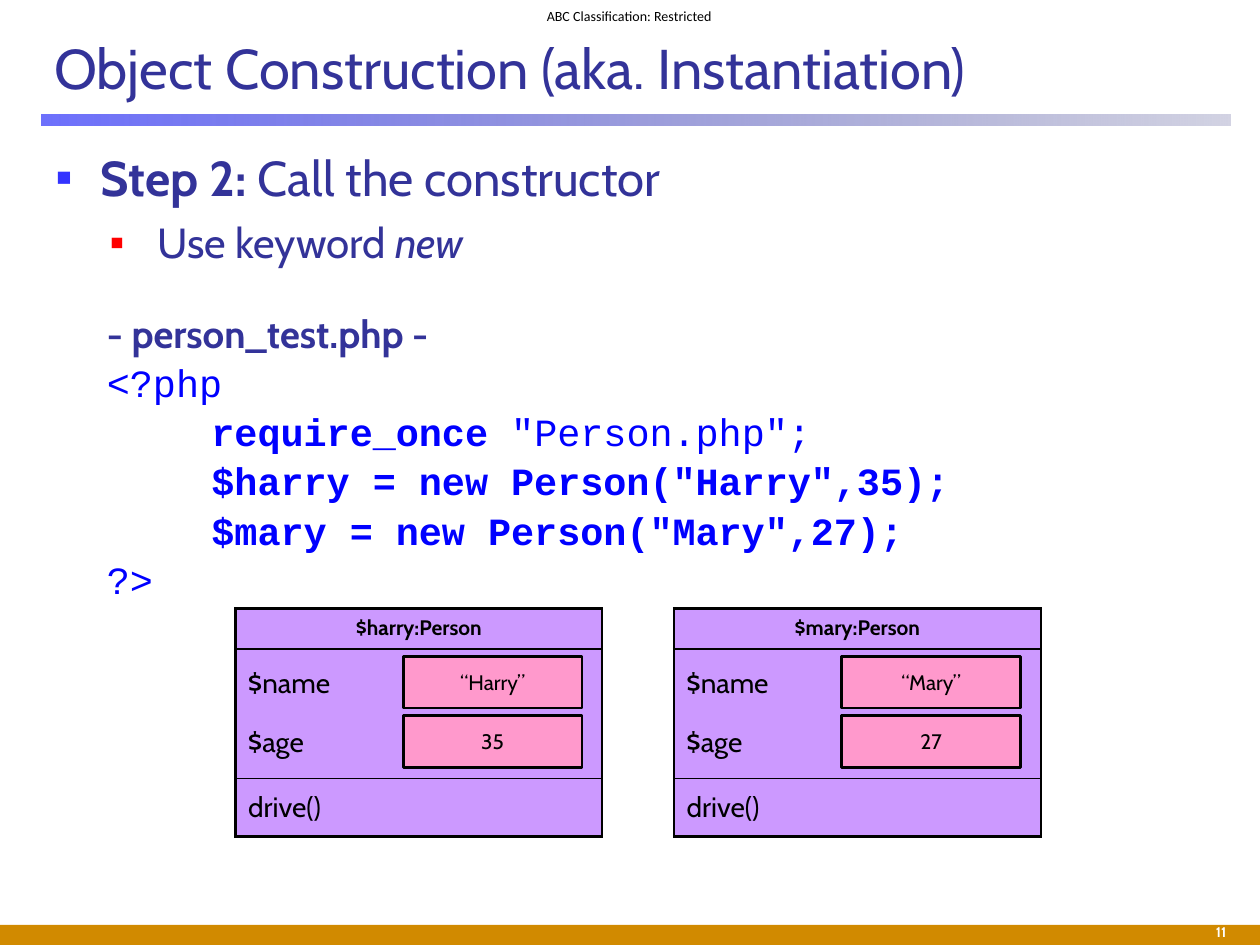
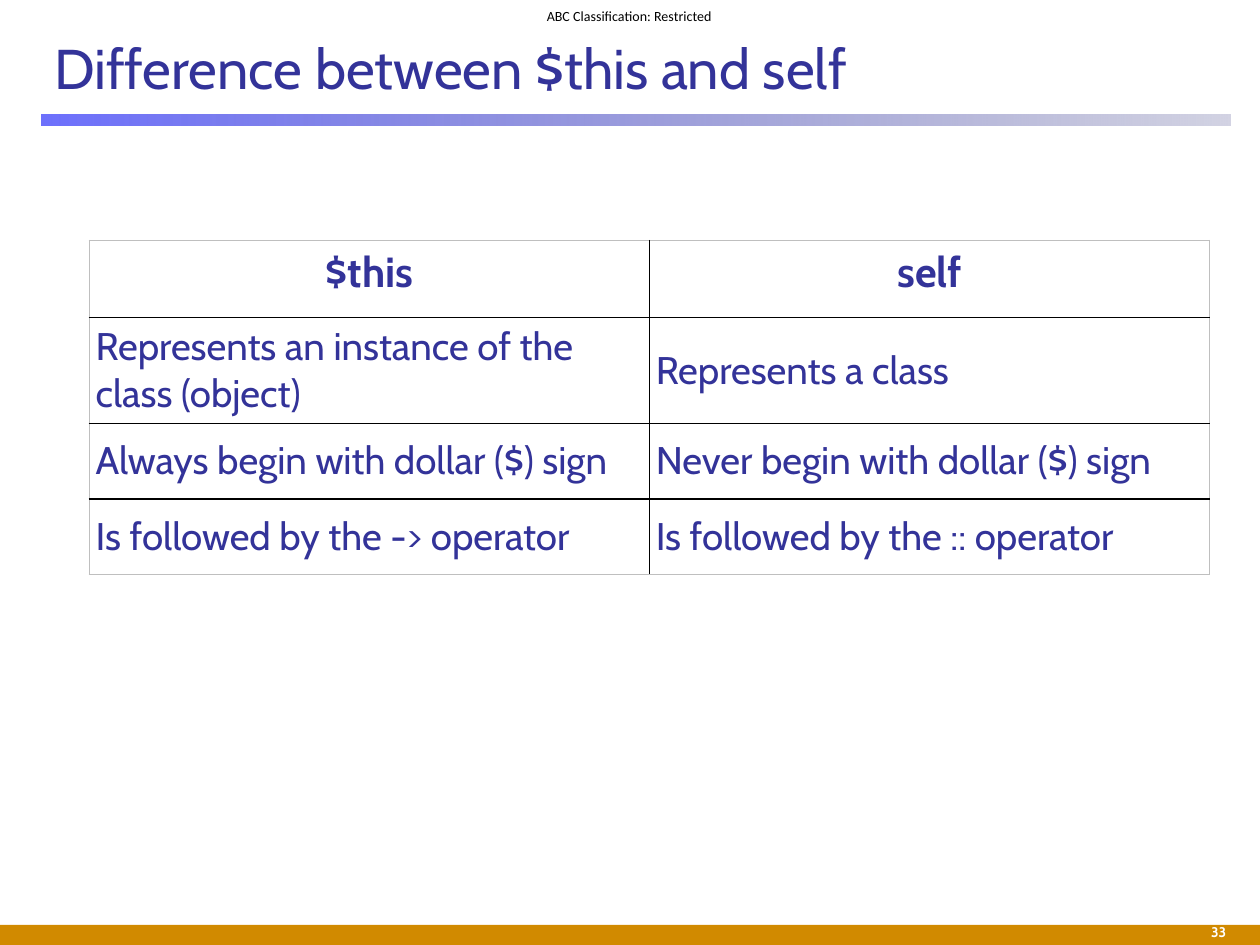
"""Build two PHP teaching slides: object construction, and $this versus self."""
from dataclasses import dataclass

from lxml import etree
from pptx import Presentation
from pptx import util as u
from pptx.dml import color
from pptx.enum import shapes, text
from pptx.oxml import ns


@dataclass(frozen=True)
class Theme:
    font: str = "Cabin"
    label_font: str = "Calibri"
    code_font: str = "Courier New"
    ink: str = "333399"
    code: str = "0000FF"
    black: str = "000000"
    white: str = "FFFFFF"
    footer: str = "D18A00"
    rule_colours: tuple = ("464AFC", "202275")
    rule_opacities: tuple = (79, 20)
    bullets: tuple = ("3333FF", "FF0000")
    object_fill: str = "CC99FF"
    value_fill: str = "FF99CC"
    outer_edge: str = "BFBFBF"
    title_size: int = 32
    list_sizes: tuple = (28, 24)
    code_size: int = 22
    header_size: int = 24
    member_size: int = 16
    small_size: int = 12
    tiny_size: int = 8


theme = Theme()
rgb = color.RGBColor.from_string
middle = text.MSO_ANCHOR.MIDDLE
centre = text.PP_ALIGN.CENTER


def write(frame, lines, size, ink=theme.ink, font=theme.font, frame_format=None, para_format=None):
    for name, value in {"word_wrap": True, **(frame_format or {})}.items():
        setattr(frame, name, value)
    for index, line in enumerate(lines):
        para = frame.add_paragraph() if index else frame.paragraphs[0]
        for name, value in (para_format or {}).items():
            setattr(para, name, value)
        for words, values in line:
            span = para.add_run()
            span.text = words
            for name, value in {"name": font, "size": u.Pt(size), **values}.items():
                setattr(span.font, name, value)
            span.font.color.rgb = rgb(ink)


def edge_cell(cell, edges):
    properties = cell._tc.get_or_add_tcPr()
    for side, (ink, width) in zip("LRTB", edges):
        line = etree.SubElement(properties, ns.qn(f"a:ln{side}"), w=str(u.Pt(width)))
        fill = etree.SubElement(line, ns.qn("a:solidFill"))
        etree.SubElement(fill, ns.qn("a:srgbClr"), val=ink)


deck = Presentation()
deck.slide_width, deck.slide_height = u.Inches(10), u.Inches(7.5)
no_margins = {f"margin_{side}": 0 for side in ("left", "right", "top", "bottom")}
bold = {"bold": True}

pages = []
for layout, title, number in (
    (1, "Object Construction (aka. Instantiation)", "11"),
    (5, "Difference between $this and self", "33"),
):
    page = deck.slides.add_slide(deck.slide_layouts[layout])
    pages.append(page)

    footer = page.shapes.add_shape(
        shapes.MSO_SHAPE.RECTANGLE, u.Inches(0), u.Inches(7.34), u.Inches(10), u.Inches(0.16))
    footer.fill.solid()
    footer.fill.fore_color.rgb = rgb(theme.footer)
    rule = page.shapes.add_shape(
        shapes.MSO_SHAPE.RECTANGLE, u.Inches(0.33), u.Inches(0.91), u.Inches(9.44), u.Inches(0.09))
    rule.fill.gradient()
    rule.fill.gradient_angle = 0
    for stop, ink in zip(rule.fill.gradient_stops, theme.rule_colours):
        stop.color.rgb = rgb(ink)
    for tint, opacity in zip(rule._element.spPr.findall(f".//{ns.qn('a:srgbClr')}"), theme.rule_opacities):
        etree.SubElement(tint, ns.qn("a:alpha"), val=str(opacity * 1000))
    for band in (footer, rule):
        band.line.fill.background()
        band.shadow.inherit = False

    label = page.shapes.add_textbox(u.Inches(4.18), u.Inches(0), u.Inches(1.63), u.Inches(0.25))
    write(label.text_frame, [[("ABC Classification: Restricted", {})]], theme.tiny_size,
          theme.black, theme.label_font, {**no_margins, "vertical_anchor": middle}, {"alignment": centre})

    heading = page.shapes.title
    heading.left, heading.top, heading.width, heading.height = map(u.Inches, (0.33, 0.16, 9.42, 0.75))
    write(heading.text_frame, [[(title, {})]], theme.title_size,
          frame_format={"vertical_anchor": middle, "auto_size": text.MSO_AUTO_SIZE.NONE},
          para_format={"alignment": text.PP_ALIGN.LEFT})

    folio = page.shapes.add_textbox(u.Inches(8.41), u.Inches(7.28), u.Inches(1.42), u.Inches(0.2))
    write(folio.text_frame, [[(number, bold)]], theme.tiny_size, theme.white,
          para_format={"alignment": text.PP_ALIGN.RIGHT})

construction, difference = pages

body = construction.placeholders[1]
body.left, body.top, body.width, body.height = map(u.Inches, (0.33, 1.12, 9.42, 3.49))
write(body.text_frame,
      [[("Step 2: ", bold), ("Call the constructor", {})],
       [("Use keyword ", {}), ("new", {"italic": True})]],
      theme.list_sizes[0], frame_format={"auto_size": text.MSO_AUTO_SIZE.NONE},
      para_format={"space_before": u.Pt(6)})
for level, (para, margin, indent) in enumerate(zip(body.text_frame.paragraphs, (0.37, 0.82), (-0.36, -0.38))):
    para.level = level
    for span in para.runs:
        span.font.size = u.Pt(theme.list_sizes[level])
    properties = para._p.get_or_add_pPr()
    properties.set("marL", str(u.Inches(margin)))
    properties.set("indent", str(u.Inches(indent)))
    bullet_colour = etree.SubElement(properties, ns.qn("a:buClr"))
    etree.SubElement(bullet_colour, ns.qn("a:srgbClr"), val=theme.bullets[level])
    etree.SubElement(properties, ns.qn("a:buFont"), typeface="Arial")
    etree.SubElement(properties, ns.qn("a:buChar"), char="▪")

listing = construction.shapes.add_textbox(u.Inches(0.5), u.Inches(2.45), u.Inches(8.79), u.Inches(2.03))
write(listing.text_frame,
      [[("- person_test.php -", bold)],
       [("<?php", {})],
       [("\t", {}), ("require_once", bold), (' "Person.php";', {})],
       [("\t", {}), ('$harry = new Person("Harry",35);', bold)],
       [("\t", {}), ('$mary = new Person("Mary",27);', bold)],
       [("?>", {})]],
      theme.code_size, theme.code, theme.code_font,
      para_format={"line_spacing": 0.9, "space_before": u.Pt(4.4)})
for para in listing.text_frame.paragraphs:
    properties = para._p.get_or_add_pPr()
    properties.set("marL", str(u.Inches(1.08)))
    properties.set("indent", str(u.Inches(-0.83)))
file_name = listing.text_frame.paragraphs[0].runs[0].font
file_name.name, file_name.color.rgb = theme.font, rgb(theme.ink)

for left, variable, name, age in ((1.87, "$harry", "“Harry”", "35"), (5.35, "$mary", "“Mary”", "27")):
    grid = construction.shapes.add_table(
        3, 1, u.Inches(left), u.Inches(4.83), u.Inches(2.91), u.Inches(1.81)).table
    grid.first_row = grid.horz_banding = False
    thick, thin = (theme.black, 1.5), (theme.black, 1)
    for index, height in enumerate((0.32, 1.03, 0.46)):
        grid.rows[index].height = u.Inches(height)
        cell = grid.cell(index, 0)
        edge_cell(cell, (thick, thick, thin if index else thick, thin if index < 2 else thick))
        cell.fill.solid()
        cell.fill.fore_color.rgb = rgb(theme.object_fill)
    write(grid.cell(0, 0).text_frame, [[(f"{variable}:Person", bold)]], theme.small_size, theme.black,
          para_format={"alignment": centre})
    write(grid.cell(2, 0).text_frame, [[("drive()", {})]], theme.member_size, theme.black)
    grid.cell(2, 0).vertical_anchor = middle

    for index, (member, value) in enumerate((("$name", name), ("$age", age))):
        top = 5.21 + 0.47 * index
        box = construction.shapes.add_shape(
            shapes.MSO_SHAPE.RECTANGLE, u.Inches(left + 1.33), u.Inches(top), u.Inches(1.42), u.Inches(0.41))
        box.shadow.inherit = False
        box.fill.solid()
        box.fill.fore_color.rgb = rgb(theme.value_fill)
        box.line.color.rgb = rgb(theme.black)
        box.line.width = u.Pt(1.5)
        write(box.text_frame, [[(value, {})]], theme.small_size, theme.black,
              frame_format={"vertical_anchor": middle}, para_format={"alignment": centre})
        caption = construction.shapes.add_textbox(
            u.Inches(left), u.Inches(top + 0.02), u.Inches(1.3), u.Inches(0.37))
        write(caption.text_frame, [[(member, {})]], theme.member_size, theme.black)

comparison = (
    ("$this", "self"),
    ("Represents an instance of the class (object)", "Represents a class"),
    ("Always begin with dollar ($) sign", "Never begin with dollar ($) sign"),
    ("Is followed by the -> operator", "Is followed by the :: operator"),
)
grid = difference.shapes.add_table(
    4, 2, u.Inches(0.71), u.Inches(1.91), u.Inches(8.89), u.Inches(2.65)).table
grid.first_row = grid.horz_banding = False
inner, outer = (theme.black, 1), (theme.outer_edge, 1)
for row, (words, height) in enumerate(zip(comparison, (0.61, 0.84, 0.6, 0.6))):
    grid.rows[row].height = u.Inches(height)
    for column, phrase in enumerate(words):
        cell = grid.cell(row, column)
        edge_cell(cell, (inner if column else outer, outer if column else inner,
                         inner if row else outer, inner if row < 3 else outer))
        cell.fill.background()
        if row == 0:
            write(cell.text_frame, [[(phrase, bold)]], theme.header_size, para_format={"alignment": centre})
        else:
            write(cell.text_frame, [[(phrase, {})]], theme.code_size)
            cell.margin_left = cell.margin_right = u.Inches(0.05)
            cell.vertical_anchor = middle

deck.save("out.pptx")
